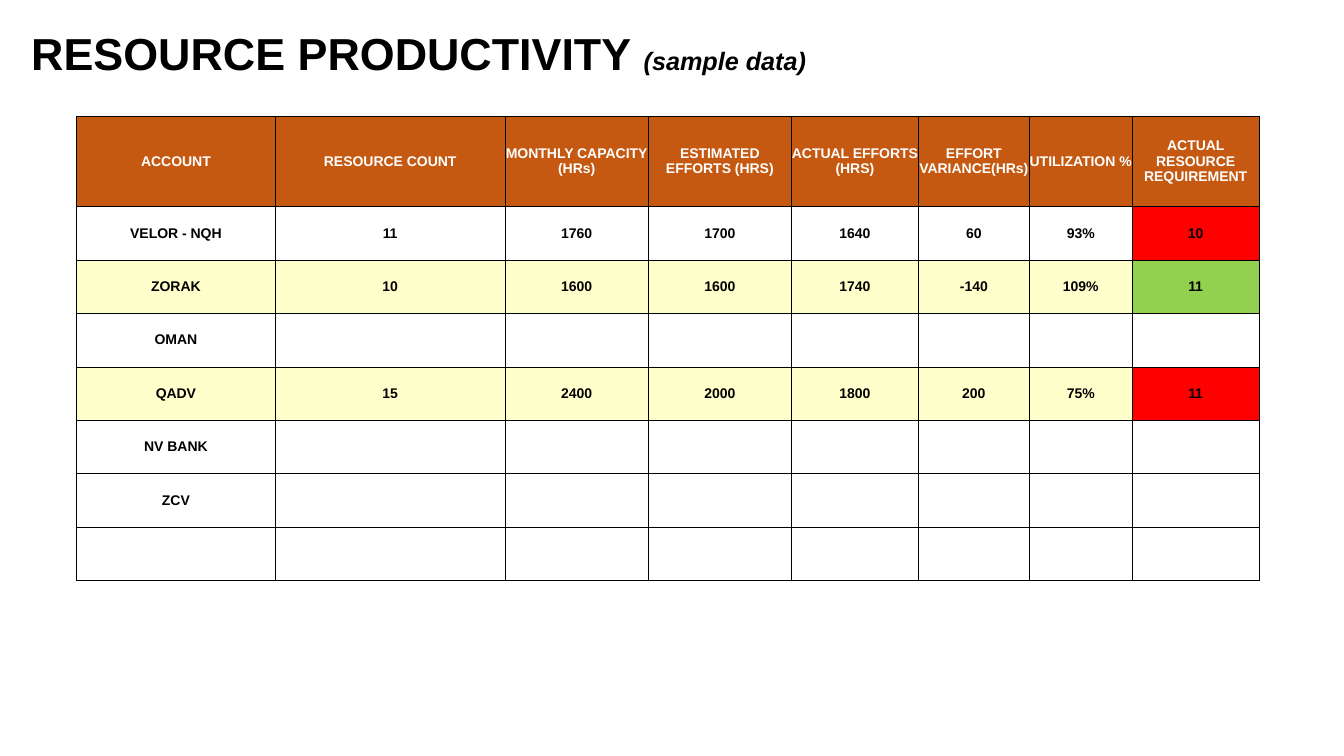
from lxml import etree
from pptx import Presentation
from pptx import util as u
from pptx.dml.color import RGBColor
from pptx.enum import text
from pptx.oxml.ns import qn

BLACK, WHITE, ORANGE = "000000", "FFFFFF", "C65911"
CREAM, RED, GREEN = "FFFFCC", "FF0000", "92D050"
COLUMN_WIDTHS = [1.97, 2.28, 1.42, 1.42, 1.26, 1.1, 1.02, 1.26]
HEADER_HEIGHT, ROW_HEIGHT = 0.9, 0.53
HEADERS = [
    "ACCOUNT", "RESOURCE COUNT", "MONTHLY CAPACITY\n(HRs)",
    "ESTIMATED EFFORTS (HRS)", "ACTUAL EFFORTS (HRS)",
    "EFFORT VARIANCE(HRs)", "UTILIZATION %", "ACTUAL RESOURCE REQUIREMENT",
]
ACCOUNTS = [
    (["VELOR - NQH", "11", "1760", "1700", "1640", "60", "93%", "10"], None, RED),
    (["ZORAK", "10", "1600", "1600", "1740", "-140", "109%", "11"], CREAM, GREEN),
    (["OMAN"], None, None),
    (["QADV", "15", "2400", "2000", "1800", "200", "75%", "11"], CREAM, RED),
    (["NV BANK"], None, None),
    (["ZCV"], None, None),
    ([], None, None),
]


def color(value):
    return RGBColor.from_string(value)


def format_span(span, size, ink, italic=False):
    span.font.name = "Arial"
    span.font.size = u.Pt(size)
    span.font.bold = True
    span.font.italic = italic
    span.font.color.rgb = color(ink)


def add_title(page, heading, remark):
    box = page.shapes.title
    box.left, box.top = u.Inches(0.21), u.Inches(0.21)
    box.width, box.height = u.Inches(11.5), u.Inches(0.64)
    frame = box.text_frame
    frame.word_wrap = True
    frame.auto_size = text.MSO_AUTO_SIZE.SHAPE_TO_FIT_TEXT
    frame.vertical_anchor = text.MSO_ANCHOR.TOP
    para = frame.paragraphs[0]
    para.alignment = text.PP_ALIGN.LEFT
    for words, size, italic in [(heading + " ", 32, False), (remark, 18, True)]:
        span = para.add_run()
        span.text = words
        format_span(span, size, BLACK, italic)


def add_borders(cell):
    properties = cell._tc.get_or_add_tcPr()
    for position, side in enumerate(["a:lnL", "a:lnR", "a:lnT", "a:lnB"]):
        line = etree.Element(qn(side), w=str(u.Pt(0.5)))
        paint = etree.SubElement(line, qn("a:solidFill"))
        etree.SubElement(paint, qn("a:srgbClr"), val=BLACK)
        properties.insert(position, line)


def fill_cell(cell, words, fill, ink):
    cell.margin_left = cell.margin_right = 0
    cell.margin_top = cell.margin_bottom = 0
    cell.vertical_anchor = text.MSO_ANCHOR.MIDDLE
    cell.text_frame.text = words
    for para in cell.text_frame.paragraphs:
        para.alignment = text.PP_ALIGN.CENTER
        para.font.size = u.Pt(10)
        for span in para.runs:
            format_span(span, 10, ink)
    if fill:
        cell.fill.solid()
        cell.fill.fore_color.rgb = color(fill)
    else:
        cell.fill.background()
    add_borders(cell)


def add_productivity_table(page):
    row_count, column_count = len(ACCOUNTS) + 1, len(HEADERS)
    table = page.shapes.add_table(
        row_count, column_count, u.Inches(0.76), u.Inches(1.15),
        u.Inches(sum(COLUMN_WIDTHS)),
        u.Inches(HEADER_HEIGHT + ROW_HEIGHT * len(ACCOUNTS)),
    ).table
    table.horz_banding = False
    for column, width in zip(table.columns, COLUMN_WIDTHS):
        column.width = u.Inches(width)
    for row in table.rows:
        row.height = u.Inches(ROW_HEIGHT)
    table.rows[0].height = u.Inches(HEADER_HEIGHT)

    for index, header in enumerate(HEADERS):
        fill_cell(table.cell(0, index), header, ORANGE, WHITE)
    for row_index, (values, row_fill, status_fill) in enumerate(ACCOUNTS, 1):
        padded = values + [""] * (column_count - len(values))
        fills = [row_fill] * (column_count - 1) + [status_fill]
        for index, (value, fill) in enumerate(zip(padded, fills)):
            fill_cell(table.cell(row_index, index), value, fill, BLACK)


def main():
    deck = Presentation()
    deck.slide_width, deck.slide_height = u.Inches(13.33), u.Inches(7.5)
    page = deck.slides.add_slide(deck.slide_layouts[5])
    add_title(page, "RESOURCE PRODUCTIVITY", "(sample data)")
    add_productivity_table(page)
    deck.save("out.pptx")


if __name__ == "__main__":
    main()
